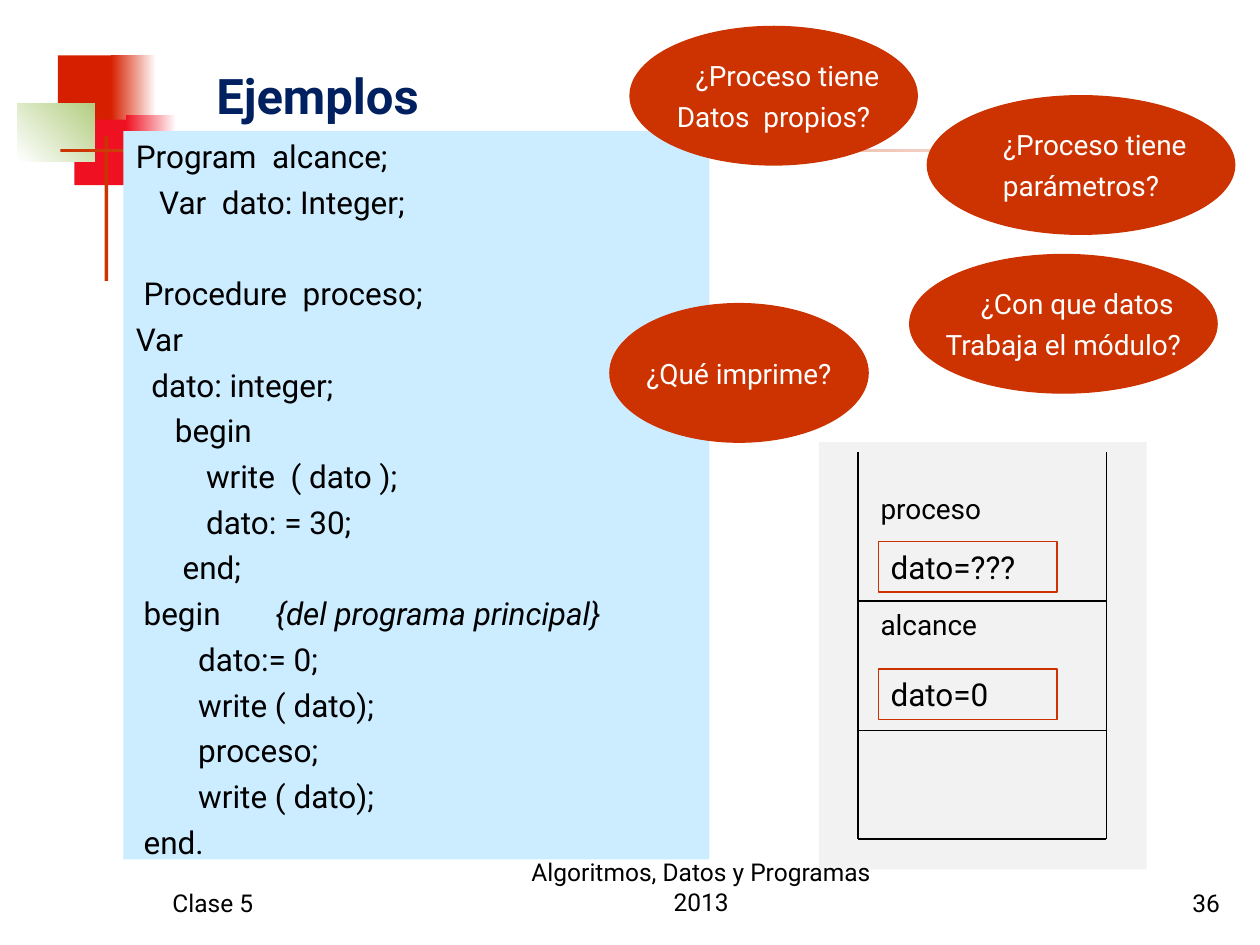
from lxml.etree import SubElement
from pptx import Presentation
from pptx.dml.color import RGBColor
from pptx.enum.shapes import MSO_CONNECTOR, MSO_SHAPE
from pptx.enum.text import MSO_ANCHOR, PP_ALIGN
from pptx.oxml.ns import qn
from pptx.util import Inches, Pt

RED, BLACK, WHITE = "CC3300", "000000", "FFFFFF"


def color(value):
    return RGBColor.from_string(value)


def write(frame, lines, size=18, ink=BLACK, bold=False, align=PP_ALIGN.LEFT,
          anchor=MSO_ANCHOR.TOP, wrap=True, gap=0):
    """Write lines into a frame; a line in braces after a tab turns italic."""
    frame.word_wrap = wrap
    frame.vertical_anchor = anchor
    frame.margin_left = frame.margin_right = Inches(0.1)
    frame.margin_top = frame.margin_bottom = Inches(0.05)
    for index, line in enumerate(lines):
        para = frame.paragraphs[0] if index == 0 else frame.add_paragraph()
        para.alignment = align
        para.space_before = Pt(gap if index else 0)
        for part in line.partition("\t"):
            if not part:
                continue
            span = para.add_run()
            span.text = part
            span.font.name = "Roboto"
            span.font.size = Pt(size)
            span.font.bold = bold
            span.font.italic = part.startswith("{")
            span.font.color.rgb = color(ink)


deck = Presentation()
deck.slide_width, deck.slide_height = Inches(10), Inches(7.5)
page = deck.slides.add_slide(deck.slide_layouts[5])

# Title
title = page.shapes.title
title.left, title.top = Inches(-0.94), Inches(0.42)
title.width, title.height = Inches(6.92), Inches(0.67)
write(title.text_frame, ["Ejemplos"], size=28, ink="002060", bold=True,
      align=PP_ALIGN.CENTER, anchor=MSO_ANCHOR.MIDDLE)

# Corner decoration and background panels: box, colours, gradient angle
blocks = [
    ((0.46, 0.44, 0.48, 0.52), ["D61F00"], 0),
    ((0.88, 0.44, 0.36, 0.52), ["D61F00", WHITE], 0),
    ((0.59, 0.95, 0.46, 0.52), ["EF1121"], 0),
    ((1, 0.91, 0.4, 0.52), ["EF1121", WHITE], 0),
    ((0.14, 0.82, 0.61, 0.46), [WHITE, "B3CE82"], 45),
    ((0.83, 1.08, 0.03, 1.15), [RED], 0),
    ((0.48, 1.18, 9, 0.03), [RED, WHITE], 0),
    ((6.5, 3.51, 2.6, 3.39), ["F2F2F2"], 0),
    ((0.98, 1.04, 4.65, 5.78), ["CCECFF"], 0),
]
for box, shades, angle in blocks:
    block = page.shapes.add_shape(MSO_SHAPE.RECTANGLE, *map(Inches, box))
    block.shadow.inherit = False
    block.line.fill.background()
    if len(shades) == 1:
        block.fill.solid()
        block.fill.fore_color.rgb = color(shades[0])
    else:
        block.fill.gradient()
        block.fill.gradient_angle = angle
        for stop, shade in zip(block.fill.gradient_stops, shades):
            stop.color.rgb = color(shade)

# Program listing, in the last panel
code = [
    "Program  alcance;",
    "   Var  dato: Integer;",
    " Procedure  proceso;",
    "Var",
    "  dato: integer;",
    "     begin",
    "         write  ( dato );",
    "         dato: = 30;",
    "      end;",
    " begin\t{del programa principal}",
    "        dato:= 0;",
    "        write ( dato);",
    "        proceso;",
    "        write ( dato);",
    " end.",
]
listing = block.text_frame
write(listing, code, align=PP_ALIGN.JUSTIFY, gap=4.5)
listing.paragraphs[2].space_before = Pt(30.6)  # one empty line
comment = listing.paragraphs[9]
tabs = SubElement(comment._p.get_or_add_pPr(), qn("a:tabLst"))
SubElement(tabs, qn("a:tab"), pos=str(Inches(1.11)), algn="l")

# Footer
for left, top, width, text, align in [
    (1.27, 6.83, 2.08, "Clase 5", PP_ALIGN.LEFT),
    (3.98, 6.82, 3.17, "Algoritmos, Datos y Programas 2013", PP_ALIGN.CENTER),
    (7.7, 6.83, 2.08, "36", PP_ALIGN.RIGHT),
]:
    footer = page.shapes.add_textbox(Inches(left), Inches(top), Inches(width), Inches(0.5))
    write(footer.text_frame, [text], size=14, align=align, anchor=MSO_ANCHOR.BOTTOM)

# Memory stack: levels, then sides
left, right, top, bottom = 6.81, 8.78, 3.59, 6.66
edges = [(left, level, right, level) for level in (4.77, 5.8, bottom)]
edges += [(side, top, side, bottom) for side in (left, right)]
for edge in edges:
    line = page.shapes.add_connector(MSO_CONNECTOR.STRAIGHT, *map(Inches, edge))
    line.line.color.rgb = color(BLACK)
    line.line.width = Pt(0.75)
    SubElement(line._element.spPr, qn("a:effectLst"))

# Stack frames: module name and its variable
for name, name_top, value, value_top in [
    ("proceso", 3.85, "dato=???", 4.3),
    ("alcance", 4.77, "dato=0", 5.31),
]:
    label = page.shapes.add_textbox(Inches(6.89), Inches(name_top), Inches(1.57), Inches(0.37))
    write(label.text_frame, [name], size=16)
    cell = page.shapes.add_shape(MSO_SHAPE.RECTANGLE, Inches(6.97), Inches(value_top),
                                 Inches(1.42), Inches(0.4))
    cell.shadow.inherit = False
    cell.fill.background()
    cell.line.color.rgb = color(RED)
    cell.line.width = Pt(0.75)
    write(cell.text_frame, [value])

# Question bubbles
for left, top, width, lines in [
    (4.84, 2.41, 2.05, ["¿Qué imprime?"]),
    (5, 0.21, 2.28, ["¿Proceso tiene", "Datos  propios?"]),
    (7.36, 0.76, 2.44, ["¿Proceso tiene", "parámetros?"]),
    (7.22, 2.02, 2.44, ["¿Con que datos", "Trabaja el módulo?"]),
]:
    bubble = page.shapes.add_shape(MSO_SHAPE.OVAL, Inches(left), Inches(top),
                                   Inches(width), Inches(1.1))
    bubble.shadow.inherit = False
    bubble.fill.solid()
    bubble.fill.fore_color.rgb = color(RED)
    bubble.line.color.rgb = color(RED)
    bubble.line.width = Pt(0.75)
    write(bubble.text_frame, lines, size=16, ink=WHITE, align=PP_ALIGN.CENTER,
          anchor=MSO_ANCHOR.MIDDLE, wrap=False, gap=4)
    if len(lines) > 1:  # first line sits a little to the right
        bubble.text_frame.paragraphs[0]._p.get_or_add_pPr().set("marL", str(Inches(0.22)))

deck.save("out.pptx")
